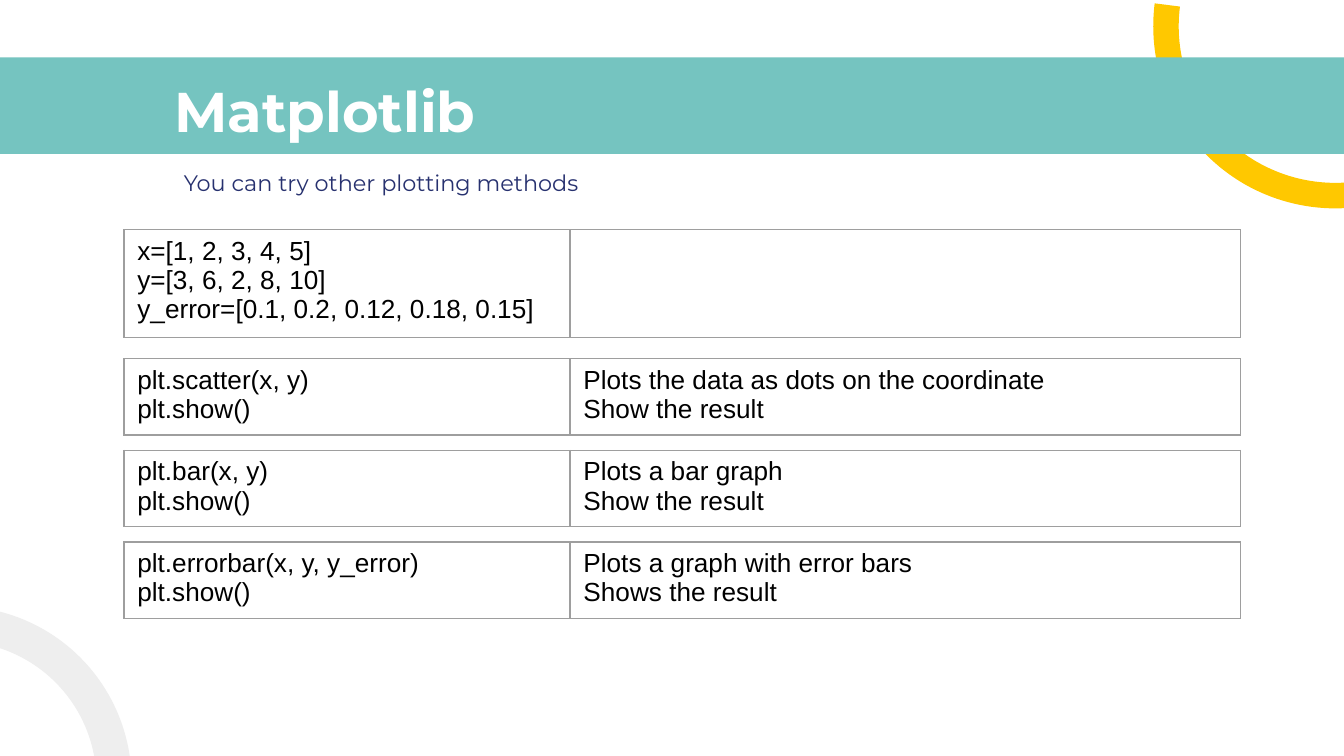
from dataclasses import dataclass

from lxml.etree import SubElement
from pptx import Presentation
from pptx.dml.color import RGBColor as Rgb
from pptx.enum.shapes import MSO_SHAPE as Shape
from pptx.oxml import parse_xml
from pptx.oxml.ns import nsdecls, qn
from pptx.util import Pt


@dataclass(frozen=True)
class Theme:
    teal: str = "75C4C0"
    gold: str = "FFC800"
    pale: str = "EEEEEE"
    navy: str = "27316F"
    white: str = "FFFFFF"
    black: str = "000000"
    rule: str = "9E9E9E"
    head: str = "Montserrat"
    body: str = "Arial"
    title: int = 30
    sub: int = 12
    code: int = 14


THEME = Theme()
LEFT, WIDTHS = 66.4, (239, 359.4)
TALL, SHORT = 54.6, 38.8
FIRST, STEP = 192.2, 49.1

SETUP = (["x=[1, 2, 3, 4, 5]", "y=[3, 6, 2, 8, 10]",
          "y_error=[0.1, 0.2, 0.12, 0.18, 0.15]"], [])
PLOTS = [
    (["plt.scatter(x, y)", "plt.show()"],
     ["Plots the data as dots on the coordinate", "Show the result"]),
    (["plt.bar(x, y)", "plt.show()"],
     ["Plots a bar graph", "Show the result"]),
    (["plt.errorbar(x, y, y_error)", "plt.show()"],
     ["Plots a graph with error bars", "Shows the result"]),
]


def add_form(slide, kind, box, color, adjust=(), turn=0):
    form = slide.shapes.add_shape(kind, *map(Pt, box))
    form.shadow.inherit = False
    form.fill.solid()
    form.fill.fore_color.rgb = Rgb.from_string(color)
    form.line.fill.background()
    for i, value in enumerate(adjust):
        form.adjustments[i] = value
    form.rotation = turn


def add_run(para, text, font, size, color, bold=False):
    run = para.add_run()
    run.text = text
    run.font.name = font
    run.font.size = Pt(size)
    run.font.bold = bold
    run.font.color.rgb = Rgb.from_string(color)


def add_text(slide, box, text, size, color, bold=False, indent=0):
    frame = slide.shapes.add_textbox(*map(Pt, box)).text_frame
    frame.word_wrap = True
    frame.margin_left = frame.margin_right = Pt(7.2)
    frame.margin_top = frame.margin_bottom = Pt(7.2)
    para = frame.paragraphs[0]
    if indent:
        props = para._p.get_or_add_pPr()
        props.set("marL", str(Pt(indent)))
        props.set("indent", "0")
    add_run(para, text, THEME.head, size, color, bold)


def add_edges(cell):
    props = cell._tc.get_or_add_tcPr()
    for side in ("lnL", "lnR", "lnT", "lnB"):
        line = parse_xml(f'<a:{side} {nsdecls("a")} w="{Pt(0.75)}"/>')
        fill = SubElement(line, qn("a:solidFill"))
        SubElement(fill, qn("a:srgbClr"), val=THEME.rule)
        props.append(line)


def add_grid(slide, top, height, texts):
    box = (LEFT, top, sum(WIDTHS), height)
    grid = slide.shapes.add_table(1, len(texts), *map(Pt, box)).table
    grid.first_row = grid.horz_banding = False
    for i, lines in enumerate(texts):
        grid.columns[i].width = Pt(WIDTHS[i])
        cell = grid.cell(0, i)
        add_edges(cell)
        cell.fill.background()
        frame = cell.text_frame
        for n, line in enumerate(lines):
            para = frame.add_paragraph() if n else frame.paragraphs[0]
            add_run(para, line, THEME.body, THEME.code, THEME.black)


def main():
    deck = Presentation()
    deck.slide_width, deck.slide_height = Pt(720), Pt(405)
    slide = deck.slides.add_slide(deck.slide_layouts[6])

    # Rings and title band; arc angles are in units of 5/3 degree
    add_form(slide, Shape.BLOCK_ARC, (617.8, -83.5, 195.1, 195.1), THEME.gold,
             (159.04 * 0.6, 7.23 * 0.6, 0.07), 180)
    add_form(slide, Shape.RECTANGLE, (-12.2, 30.7, 744.5, 51.8), THEME.teal)
    add_form(slide, Shape.DONUT, (-117.4, 324.7, 187.9, 187.9), THEME.pale,
             (0.1,))

    # Headings
    add_text(slide, (86.4, 33.8, 609.1, 45.4), "Matplotlib",
             THEME.title, THEME.white, bold=True)
    add_text(slide, (55.4, 83.5, 609.1, 39.6),
             "You can try other plotting methods",
             THEME.sub, THEME.navy, indent=36)

    # Data, then one table for each plotting method
    add_grid(slide, 123, TALL, SETUP)
    for i, texts in enumerate(PLOTS):
        add_grid(slide, FIRST + i * STEP, SHORT, texts)

    deck.save("out.pptx")


if __name__ == "__main__":
    main()
